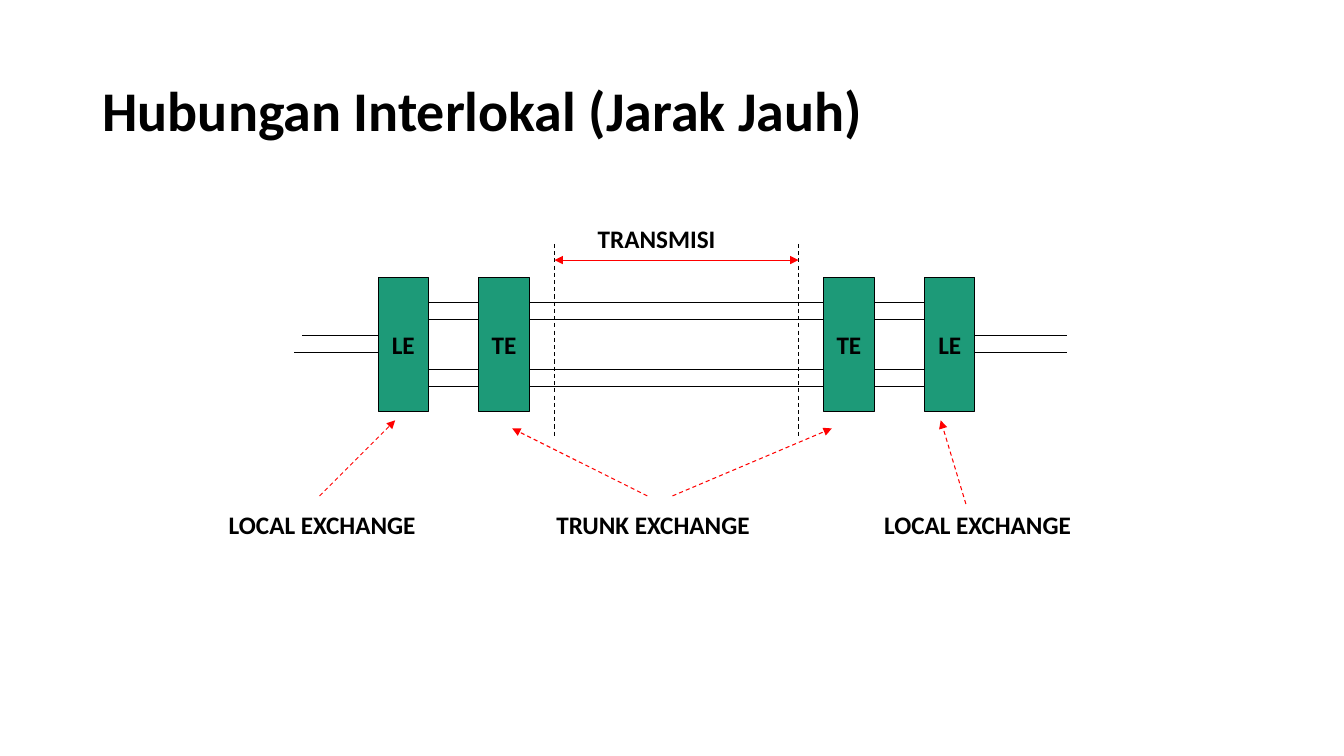
"""Build a slide showing how a long-distance call passes between exchanges."""
from dataclasses import dataclass
from typing import Optional

from lxml.etree import SubElement
from pptx import Presentation
from pptx.dml.color import RGBColor
from pptx.enum.dml import MSO_LINE
from pptx.enum.shapes import MSO_CONNECTOR, MSO_SHAPE
from pptx.enum.text import MSO_ANCHOR, MSO_AUTO_SIZE, PP_ALIGN
from pptx.oxml.ns import qn
from pptx.slide import Slide
from pptx.text.text import TextFrame
from pptx.util import Inches, Pt

BLACK = RGBColor(0x00, 0x00, 0x00)
RED = RGBColor(0xFF, 0x00, 0x00)
GREEN = RGBColor(0x1D, 0x9A, 0x78)
WHITE = RGBColor(0xFF, 0xFF, 0xFF)

FONT = "Calibri"
EXCHANGE_TOP, EXCHANGE_WIDTH, EXCHANGE_HEIGHT = 2.75, 0.5, 1.33
TRUNK_WIRE_LEVELS = (3, 3.17, 3.67, 3.83)
TRANSMISSION_EDGES = (5.5, 7.92)


@dataclass(frozen=True)
class Exchange:
    name: str
    left: float

    @property
    def right(self) -> float:
        return self.left + EXCHANGE_WIDTH


@dataclass(frozen=True)
class Label:
    text: str
    left: float
    top: float
    width: float
    height: float = 0.4
    size: int = 18


@dataclass(frozen=True)
class Line:
    x1: float
    y1: float
    x2: float
    y2: float
    color: RGBColor = BLACK
    dashed: bool = False
    head: bool = False
    tail: bool = False


EXCHANGES = (
    Exchange("LE", 3.75),
    Exchange("TE", 4.75),
    Exchange("TE", 8.17),
    Exchange("LE", 9.17),
)
TITLE = Label("Hubungan Interlokal (Jarak Jauh)", 0.92, 0.4, 11.5, 1.45, 40)
LABELS = (
    Label("TRANSMISI", 5.83, 2.17, 1.38),
    Label("LOCAL EXCHANGE", 2.17, 5, 2.07),
    Label("TRUNK EXCHANGE", 5.42, 5, 2.14),
    Label("LOCAL EXCHANGE", 8.67, 5, 2.07),
)
SUBSCRIBER_WIRES = (
    Line(3, 3.33, EXCHANGES[0].left, 3.33),
    Line(2.92, 3.5, EXCHANGES[0].left, 3.5),
    Line(EXCHANGES[-1].right, 3.33, 10.58, 3.33),
    Line(EXCHANGES[-1].right, 3.5, 10.58, 3.5),
)
POINTERS = (
    Line(3.17, 4.92, 3.92, 4.17, RED, dashed=True, tail=True),
    Line(6.42, 4.92, 5.08, 4.25, RED, dashed=True, tail=True),
    Line(6.67, 4.92, 8.25, 4.25, RED, dashed=True, tail=True),
    Line(9.58, 5, 9.33, 4.17, RED, dashed=True, tail=True),
)


def write_text(frame: TextFrame, text: str, size: int) -> None:
    """Put one bold run in the frame."""
    span = frame.paragraphs[0].add_run()
    span.text = text
    span.font.name = FONT
    span.font.size = Pt(size)
    span.font.bold = True
    span.font.color.rgb = BLACK


def add_label(page: Slide, label: Label) -> TextFrame:
    """Add a text box and return its frame."""
    box = page.shapes.add_textbox(
        Inches(label.left), Inches(label.top), Inches(label.width), Inches(label.height)
    )
    write_text(box.text_frame, label.text, label.size)
    return box.text_frame


def add_exchange(page: Slide, exchange: Exchange) -> None:
    """Add one exchange block with its short name."""
    box = page.shapes.add_shape(
        MSO_SHAPE.RECTANGLE,
        Inches(exchange.left),
        Inches(EXCHANGE_TOP),
        Inches(EXCHANGE_WIDTH),
        Inches(EXCHANGE_HEIGHT),
    )
    box.shadow.inherit = False
    box.fill.solid()
    box.fill.fore_color.rgb = GREEN
    box.line.color.rgb = BLACK
    box.line.width = Pt(0.75)
    frame = box.text_frame
    frame.word_wrap = False
    frame.vertical_anchor = MSO_ANCHOR.MIDDLE
    frame.paragraphs[0].alignment = PP_ALIGN.CENTER
    write_text(frame, exchange.name, 18)


def add_line(page: Slide, line: Line) -> None:
    """Add a straight line with optional dashes and arrowheads."""
    connector = page.shapes.add_connector(
        MSO_CONNECTOR.STRAIGHT,
        Inches(line.x1),
        Inches(line.y1),
        Inches(line.x2),
        Inches(line.y2),
    )
    connector.line.color.rgb = line.color
    connector.line.width = Pt(0.75)
    if line.dashed:
        connector.line.dash_style = MSO_LINE.DASH
    outline = connector.line._get_or_add_ln()
    for tag, wanted in (("a:headEnd", line.head), ("a:tailEnd", line.tail)):
        if wanted:
            SubElement(outline, qn(tag), type="triangle")
    SubElement(connector._element.spPr, qn("a:effectLst"))


def trunk_wires(start: Exchange, end: Exchange) -> list[Line]:
    """Return the four wires between two neighbouring exchanges."""
    return [Line(start.right, y, end.left, y) for y in TRUNK_WIRE_LEVELS]


def main(output: Optional[str] = None) -> None:
    """Draw the slide and save the deck."""
    deck = Presentation()
    deck.slide_width, deck.slide_height = Inches(13.33), Inches(7.5)
    page = deck.slides.add_slide(deck.slide_layouts[6])
    page.background.fill.solid()
    page.background.fill.fore_color.rgb = WHITE

    title = add_label(page, TITLE)
    title.word_wrap = True
    title.vertical_anchor = MSO_ANCHOR.MIDDLE
    title.paragraphs[0].line_spacing = 0.9

    for exchange in EXCHANGES:
        add_exchange(page, exchange)

    lines = list(SUBSCRIBER_WIRES)
    for start, end in zip(EXCHANGES, EXCHANGES[1:]):
        lines += trunk_wires(start, end)
    lines += [Line(x, 2.42, x, 4.33, dashed=True) for x in TRANSMISSION_EDGES]
    lines += POINTERS
    left, right = TRANSMISSION_EDGES
    lines.append(Line(left, 2.58, right, 2.58, RED, head=True, tail=True))
    for line in lines:
        add_line(page, line)

    for label in LABELS:
        frame = add_label(page, label)
        frame.word_wrap = False
        frame.auto_size = MSO_AUTO_SIZE.SHAPE_TO_FIT_TEXT

    deck.save("out.pptx")


if __name__ == "__main__":
    main()
